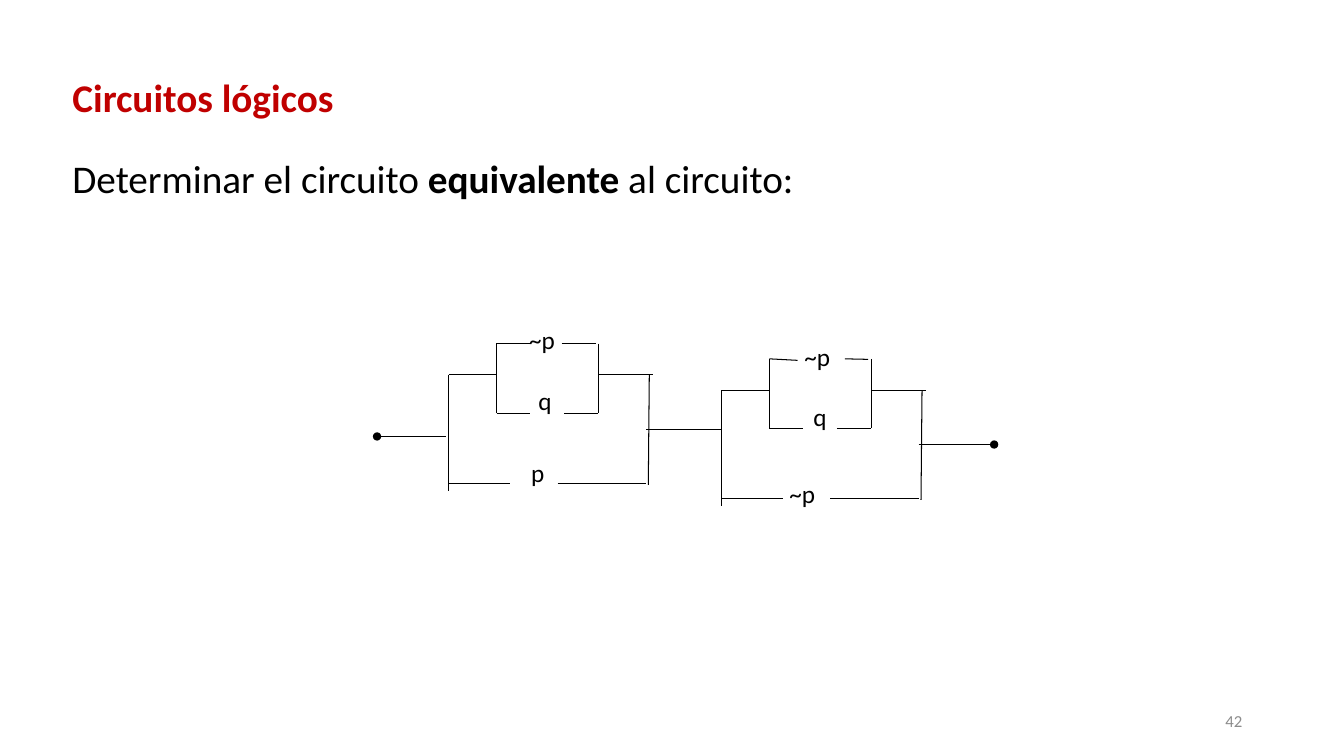
"""Draw a slide with a logic circuit of two parallel blocks joined in series."""
from dataclasses import dataclass

import pptx
import pptx.dml.color
import pptx.enum.shapes
import pptx.enum.text
import pptx.oxml
import pptx.oxml.ns
import pptx.util

COLORS = {"ink": "000000", "title": "C00000", "page": "8C8C8C"}
FONT = "Calibri"
CELL = pptx.util.Inches(0.1)
ALIGN = pptx.enum.text.PP_ALIGN
ANCHOR = pptx.enum.text.MSO_ANCHOR
FIT = pptx.enum.text.MSO_AUTO_SIZE


@dataclass(frozen=True)
class Run:
    text: str
    bold: bool = False


@dataclass(frozen=True)
class Label:
    col: float
    row: float
    width: float
    height: float
    runs: tuple[Run, ...]
    size: int = 18
    color: str = "ink"
    align: ALIGN = ALIGN.LEFT
    anchor: ANCHOR = ANCHOR.TOP
    fit: FIT = FIT.SHAPE_TO_FIT_TEXT


@dataclass(frozen=True)
class Wire:
    col: float
    row: float
    end_col: float
    end_row: float
    dot: str = ""

    def shift(self, cols: float, rows: float) -> "Wire":
        return Wire(self.col + cols, self.row + rows,
                    self.end_col + cols, self.end_row + rows, self.dot)


LABELS = (
    Label(94.2, 69.5, 30, 4, (Run("42"),), 12, "page",
          ALIGN.RIGHT, ANCHOR.MIDDLE, FIT.NONE),
    Label(6.2, 6.8, 31.9, 5.7, (Run("Circuitos lógicos", True),), 28, "title",
          ALIGN.JUSTIFY),
    Label(6.2, 14.8, 82.9, 5.7, (Run("Determinar el circuito "),
          Run("equivalente", True), Run(" al circuito:")), 28),
    Label(51.5, 31.7, 10.2, 4, (Run("~p"),)),
    Label(78.8, 33.4, 10.8, 4, (Run("~p"),)),
    Label(52.4, 37.7, 7.2, 4, (Run("q"),)),
    Label(51.7, 44.9, 5.4, 4, (Run("p"),)),
    Label(79.7, 39.3, 3.6, 4, (Run("q"),)),
    Label(77.3, 47, 10.8, 4, (Run("~p"),)),
)

BLOCK = (
    Wire(0, 0, 0, 11.5),
    Wire(0, 0, 4.75, 0),
    Wire(4.75, -3.1, 4.75, 3.8),
    Wire(4.75, 3.8, 8.1, 3.8),
    Wire(11.45, 3.8, 14.8, 3.8),
    Wire(14.9, -3.1, 14.9, 3.8),
    Wire(0, 10.75, 6.1, 10.75),
    Wire(10.8, 10.75, 19.6, 10.75),
    Wire(14.9, 0, 20.3, 0),
    Wire(19.9, 0, 19.8, 10.9),
)
STARTS = ((44.5, 37.2), (71.55, 38.7))

LINKS = (
    Wire(37.4, 43.3, 44.2, 43.3, "head"),
    Wire(49.2, 34.1, 52.6, 34.1),
    Wire(55.7, 34.1, 59.1, 34.1),
    Wire(64.1, 42.6, 71.5, 42.6),
    Wire(76.3, 35.6, 79.1, 35.75),
    Wire(83.8, 35.6, 86.1, 35.65),
    Wire(91.1, 44.1, 98.6, 44.1, "tail"),
)


def cells(count: float) -> pptx.util.Emu:
    return pptx.util.Emu(round(count * CELL))


def tint(name: str) -> pptx.dml.color.RGBColor:
    return pptx.dml.color.RGBColor.from_string(COLORS[name])


def write(slide, label: Label) -> None:
    box = slide.shapes.add_textbox(*map(cells, (
        label.col, label.row, label.width, label.height)))
    frame = box.text_frame
    frame.word_wrap = True
    frame.auto_size = label.fit
    frame.vertical_anchor = label.anchor
    para = frame.paragraphs[0]
    para.alignment = label.align
    for part in label.runs:
        run = para.add_run()
        run.text = part.text
        run.font.name = FONT
        run.font.size = pptx.util.Pt(label.size)
        run.font.bold = part.bold
        run.font.color.rgb = tint(label.color)


def draw(slide, wire: Wire) -> None:
    line = slide.shapes.add_connector(
        pptx.enum.shapes.MSO_CONNECTOR.STRAIGHT,
        *map(cells, (wire.col, wire.row, wire.end_col, wire.end_row)))
    line.line.color.rgb = tint("ink")
    line.line.width = pptx.util.Pt(0.75)
    props = line.line._get_or_add_ln()
    if wire.dot:
        props.append(pptx.oxml.parse_xml(
            f'<a:{wire.dot}End {pptx.oxml.ns.nsdecls("a")} type="oval"/>'))
    props.addnext(pptx.oxml.parse_xml(
        f'<a:effectLst {pptx.oxml.ns.nsdecls("a")}/>'))


def main() -> None:
    deck = pptx.Presentation()
    deck.slide_width = pptx.util.Inches(13.33)
    deck.slide_height = pptx.util.Inches(7.5)
    slide = deck.slides.add_slide(deck.slide_layouts[6])
    for start in STARTS:
        for wire in BLOCK:
            draw(slide, wire.shift(*start))
    for wire in LINKS:
        draw(slide, wire)
    for label in LABELS:
        write(slide, label)
    deck.save("out.pptx")


if __name__ == "__main__":
    main()
